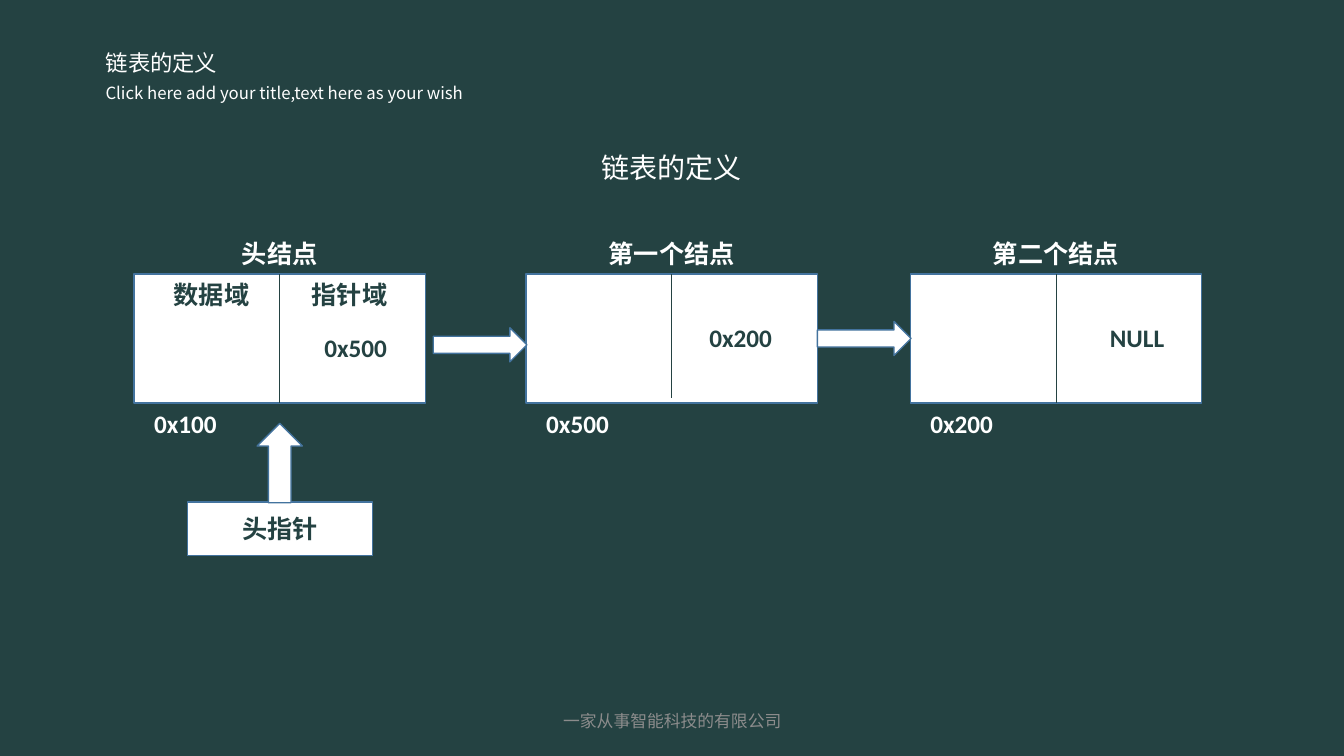
from dataclasses import dataclass

from lxml import etree
from pptx import Presentation
from pptx.dml.color import RGBColor
from pptx.enum.shapes import MSO_CONNECTOR, MSO_SHAPE
from pptx.enum.text import MSO_ANCHOR, MSO_AUTO_SIZE, PP_ALIGN
from pptx.oxml.ns import qn
from pptx.util import Cm, Pt

RECTANGLE = MSO_SHAPE.RECTANGLE
UP_ARROW = MSO_SHAPE.UP_ARROW
RIGHT_ARROW = MSO_SHAPE.RIGHT_ARROW
STRAIGHT = MSO_CONNECTOR.STRAIGHT
TOP, MIDDLE = MSO_ANCHOR.TOP, MSO_ANCHOR.MIDDLE
LEFT, CENTER = PP_ALIGN.LEFT, PP_ALIGN.CENTER
NO_AUTOFIT = MSO_AUTO_SIZE.NONE
TITLE_ONLY = 5


@dataclass(frozen=True)
class Theme:
    dark: RGBColor = RGBColor(0x24, 0x42, 0x42)
    white: RGBColor = RGBColor(0xFF, 0xFF, 0xFF)
    outline: RGBColor = RGBColor(0x43, 0x73, 0x9E)
    grey: RGBColor = RGBColor(0x8C, 0x8C, 0x8C)
    title_font: str = "Noto Sans CJK SC"
    label_font: str = "Calibri"
    small: int = 12
    header: int = 16
    label: int = 18
    heading: int = 20


def write_text(shape, text, *, size, color, font, bold=False, align=LEFT, anchor=TOP):
    frame = shape.text_frame
    frame.word_wrap = True
    frame.auto_size = NO_AUTOFIT
    frame.vertical_anchor = anchor
    paragraph = frame.paragraphs[0]
    paragraph.alignment = align
    run = paragraph.add_run()
    run.text = text
    run.font.size = Pt(size)
    run.font.bold = bold
    run.font.color.rgb = color
    run.font.name = font
    east_asian = etree.SubElement(run.font._element, qn("a:ea"))
    east_asian.set("typeface", Theme.title_font)


class SlideBuilder:
    """Draws on one slide; every box is (left, top, width, height) in cm."""

    def __init__(self, slide, theme):
        self.slide = slide
        self.theme = theme
        slide.background.fill.solid()
        slide.background.fill.fore_color.rgb = theme.dark

    def title(self, text, box):
        shape = self.slide.shapes.title
        shape.left, shape.top, shape.width, shape.height = map(Cm, box)
        write_text(shape, text, size=self.theme.header, color=self.theme.white,
                   font=self.theme.title_font)

    def text(self, text, box, **text_format):
        write_text(self.slide.shapes.add_textbox(*map(Cm, box)), text, **text_format)

    def label(self, text, box, color):
        self.text(text, box, size=self.theme.label, color=color,
                  font=self.theme.label_font, bold=True, align=CENTER)

    def shape(self, kind, box):
        shape = self.slide.shapes.add_shape(kind, *map(Cm, box))
        shape.shadow.inherit = False
        shape.fill.solid()
        shape.fill.fore_color.rgb = self.theme.white
        shape.line.color.rgb = self.theme.outline
        shape.line.width = Pt(1)

    def divider(self, x, top, bottom):
        line = self.slide.shapes.add_connector(STRAIGHT, Cm(x), Cm(top), Cm(x), Cm(bottom))
        line.line.color.rgb = self.theme.dark
        line.line.width = Pt(0.5)
        etree.SubElement(line._element.spPr, qn("a:effectLst"))

    def node(self, left, name, address, divider_height, pointer, pointer_offset):
        """A list node: two fields, its name above and its address below."""
        top, width, height, label_height = 6.91, 7.34, 3.25, 1.02
        self.shape(RECTANGLE, (left, top, width, height))
        self.divider(left + width / 2, top, top + divider_height)
        self.label(name, (left, 5.87, width, label_height), self.theme.white)
        self.label(address, (left, top + height, 2.59, label_height), self.theme.white)
        offset_x, offset_y = pointer_offset
        self.label(pointer, (left + offset_x, top + offset_y, 2.69, label_height),
                   self.theme.dark)


def main():
    theme = Theme()
    presentation = Presentation()
    presentation.slide_width = Cm(33.87)
    presentation.slide_height = Cm(19.05)
    slide = presentation.slides.add_slide(presentation.slide_layouts[TITLE_ONLY])
    builder = SlideBuilder(slide, theme)

    builder.title("链表的定义", (2.41, 1.12, 9.73, 0.94))
    builder.text("Click here add your title,text here as your wish", (2.41, 1.96, 15.42, 0.76),
                 size=theme.small, color=theme.white, font=theme.title_font)
    builder.text("链表的定义", (13.84, 3.66, 6.15, 1.12), size=theme.heading,
                 color=theme.white, font=theme.title_font, align=CENTER)

    nodes = [
        (3.38, "头结点", "0x100", 3.25, "0x500", (4.24, 1.35)),
        (13.26, "第一个结点", "0x500", 3.12, "0x200", (4.06, 1.09)),
        (22.94, "第二个结点", "0x200", 3.25, "NULL", (4.37, 1.09)),
    ]
    for node in nodes:
        builder.node(*node)

    for field, left in (("数据域", 4.06), ("指针域", 7.54)):
        builder.label(field, (left, 6.91, 2.54, 1.02), theme.dark)

    builder.shape(RECTANGLE, (4.72, 12.65, 4.67, 1.35))
    builder.label("头指针", (5.59, 12.8, 2.95, 1.02), theme.dark)
    builder.shape(UP_ARROW, (6.48, 10.67, 1.14, 2))
    for left, top in ((10.92, 8.26), (20.6, 8.1)):
        builder.shape(RIGHT_ARROW, (left, top, 2.36, 0.86))

    builder.text("一家从事智能科技的有限公司", (11.23, 17.65, 11.43, 1.02), size=theme.small,
                 color=theme.grey, font=theme.label_font, align=CENTER, anchor=MIDDLE)
    presentation.save("out.pptx")


if __name__ == "__main__":
    main()
